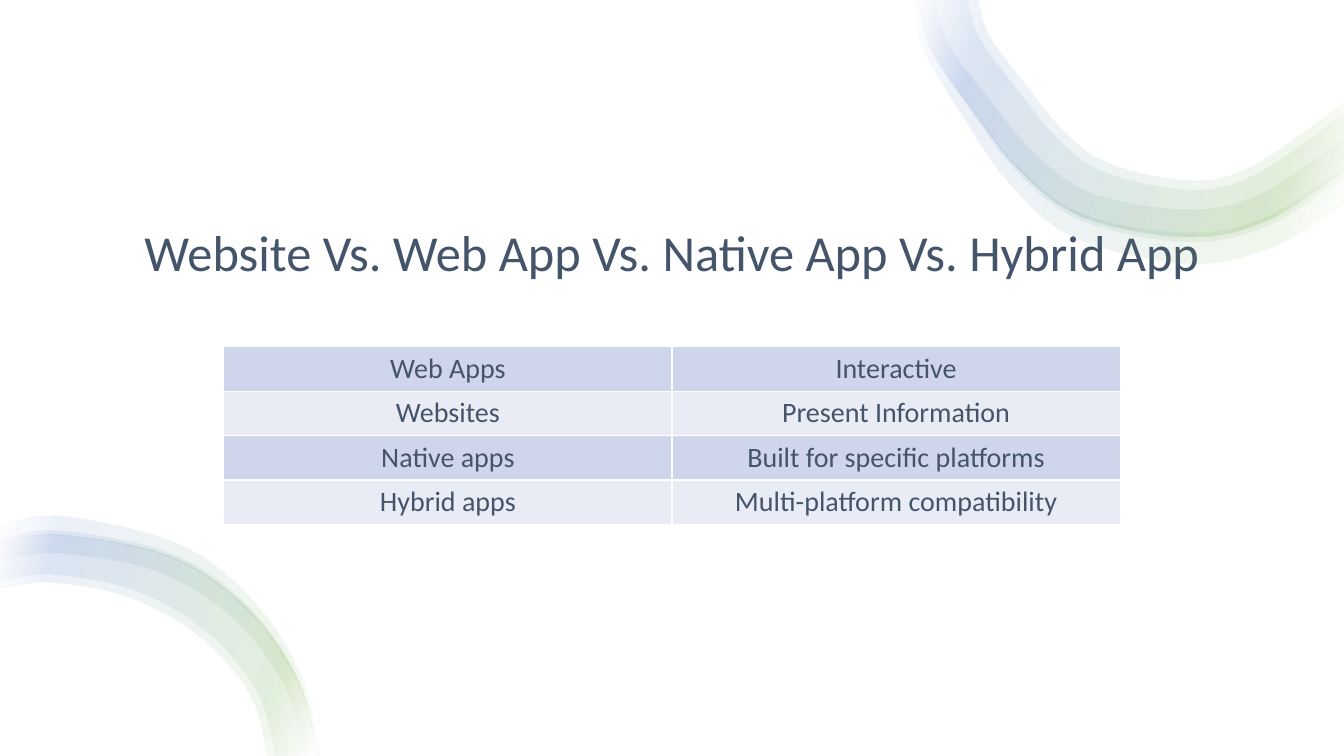
"""Build a slide comparing websites, web apps, native apps and hybrid apps."""
from lxml import etree
from pptx import Presentation
from pptx.dml.color import RGBColor
from pptx.enum.text import MSO_ANCHOR, PP_ALIGN
from pptx.oxml import parse_xml
from pptx.oxml.ns import nsdecls, qn
from pptx.util import Pt

PX = 9144
WIDTH, HEIGHT = 1333, 750
CENTER = PP_ALIGN.CENTER
BOTTOM = MSO_ANCHOR.BOTTOM
FONT = "Calibri"
COLORS = {"text": "44546A", "white": "FFFFFF", "green": "70AD47",
          "blue": "4472C4", "odd": "CFD5EA", "even": "E9EBF5"}
STOPS = [(2, "white"), (16, "green"), (85, "blue"), (100, "white")]
GRADIENT_ANGLE = 200
OPACITY = 10
CURVE_STEPS = 8

TOP_OUTER = [(907, 0), (916, 50), (956, 117), (1001, 182), (1065, 235),
             (1176, 261), (1261, 245), (1333, 202)]
TOP_INNER = [(970, 0), (980, 34), (1010, 75), (1055, 130), (1100, 162),
             (1181, 179), (1244, 163), (1333, 101)]
TOP_BANDS = [((0, 0), (0.05, 0.37)), ((0.06, 0.26), (0.32, 0.65)),
             ((0.06, 0.32), (0.84, 0.89)), ((0.06, 0.32), (1, 1))]
LOW_OUTER = [(317, 750), (300, 674), (252, 597), (178, 540), (61, 512), (0, 521)]
LOW_INNER = [(265, 750), (248, 690), (199, 633), (128, 593), (49, 578), (0, 585)]
LOW_BANDS = [((0.02, 0.28), (1, 1)), ((0.02, 0.28), (0.85, 0.88)),
             ((0.02, 0.22), (0.29, 0.56)), ((0, 0), (0.06, 0.29))]
ROWS = [("Web Apps", "Interactive"),
        ("Websites", "Present Information"),
        ("Native apps", "Built for specific platforms"),
        ("Hybrid apps", "Multi-platform compatibility")]


def rgb(name):
    """Return the named colour."""
    return RGBColor.from_string(COLORS[name])


def format_paragraph(p, size):
    """Centre a paragraph and set its font."""
    p.alignment = CENTER
    p.font.name = FONT
    p.font.size = Pt(size)
    p.font.color.rgb = rgb("text")


def blend(outer, inner, shares, turn):
    """Return an edge between two others, its share changing up to the turn."""
    first, last = shares
    edge = []
    for i, (a, b) in enumerate(zip(outer, inner)):
        share = first + (last - first) * min(1, i / turn)
        edge.append(tuple(u + (v - u) * share for u, v in zip(a, b)))
    return edge


def smooth(knots):
    """Return points in EMU on a smooth curve through the knots."""
    padded = [knots[0], *knots, knots[-1]]
    points = []
    for quad in zip(padded, padded[1:], padded[2:], padded[3:]):
        for step in range(CURVE_STEPS):
            t = step / CURVE_STEPS
            points.append(tuple(
                PX * (b + t * (c - a) / 2
                      + t ** 2 * (2 * a - 5 * b + 4 * c - d) / 2
                      + t ** 3 * (3 * b - a - 3 * c + d) / 2)
                for a, b, c, d in zip(*quad)))
    return points + [tuple(v * PX for v in knots[-1])]


def add_band(slide, outer, inner):
    """Draw a translucent gradient band between two smooth edges."""
    points = smooth(outer) + smooth(inner)[::-1]
    builder = slide.shapes.build_freeform(*points[0], scale=1.0)
    builder.add_line_segments(points[1:], close=True)
    s = builder.convert_to_shape()
    s.shadow.inherit = False
    s.line.fill.background()
    stops = "".join(
        f'<a:gs pos="{pos * 1000}"><a:srgbClr val="{COLORS[name]}">'
        f'<a:alpha val="{OPACITY * 1000}"/></a:srgbClr></a:gs>'
        for pos, name in STOPS)
    gradient = parse_xml(
        f'<a:gradFill {nsdecls("a")} rotWithShape="1"><a:gsLst>{stops}</a:gsLst>'
        f'<a:lin ang="{GRADIENT_ANGLE * 60000}" scaled="0"/></a:gradFill>')
    s._element.spPr.find(qn("a:custGeom")).addnext(gradient)


def add_ribbon(slide, outer, inner, bands, turn):
    """Draw the overlapping bands of one ribbon."""
    for shares in bands:
        add_band(slide, *(blend(outer, inner, share, turn) for share in shares))


def add_title(slide, text, left, top, width, height):
    """Place and format the slide title."""
    s = slide.shapes.title
    s.left, s.top, s.width, s.height = (v * PX for v in (left, top, width, height))
    tf = s.text_frame
    tf.text = text
    tf.word_wrap = True
    tf.vertical_anchor = BOTTOM
    p = tf.paragraphs[0]
    p.line_spacing = 0.9
    format_paragraph(p, 36)


def set_borders(cell):
    """Give a cell thin white borders on all sides."""
    tcPr = cell._tc.get_or_add_tcPr()
    for index, side in enumerate(("lnL", "lnR", "lnT", "lnB")):
        ln = etree.Element(qn(f"a:{side}"), w=str(Pt(1)))
        fill = etree.SubElement(ln, qn("a:solidFill"))
        etree.SubElement(fill, qn("a:srgbClr"), val=COLORS["white"])
        tcPr.insert(index, ln)


def add_comparison(slide, rows, left, top, width, row_height):
    """Add the two-column table with alternating row fills."""
    frame = slide.shapes.add_table(len(rows), len(rows[0]), left * PX, top * PX,
                                   width * PX, row_height * len(rows) * PX)
    table = frame.table
    table.first_row = False
    table.horz_banding = False
    for i, row in enumerate(rows):
        for j, text in enumerate(row):
            cell = table.cell(i, j)
            cell.text = text
            cell.fill.solid()
            cell.fill.fore_color.rgb = rgb("even" if i % 2 else "odd")
            set_borders(cell)
            format_paragraph(cell.text_frame.paragraphs[0], 20)


def main():
    """Build and save the slide."""
    prs = Presentation()
    prs.slide_width, prs.slide_height = WIDTH * PX, HEIGHT * PX
    slide = prs.slides.add_slide(prs.slide_layouts[5])
    slide.background.fill.solid()
    slide.background.fill.fore_color.rgb = rgb("white")
    add_title(slide, "Website Vs. Web App Vs. Native App Vs. Hybrid App",
              129, 140, 1075, 145)
    add_ribbon(slide, TOP_OUTER, TOP_INNER, TOP_BANDS, 5)
    add_ribbon(slide, LOW_OUTER, LOW_INNER, LOW_BANDS, 4)
    add_comparison(slide, ROWS, 222, 344, 889, 44)
    prs.save("out.pptx")


if __name__ == "__main__":
    main()
